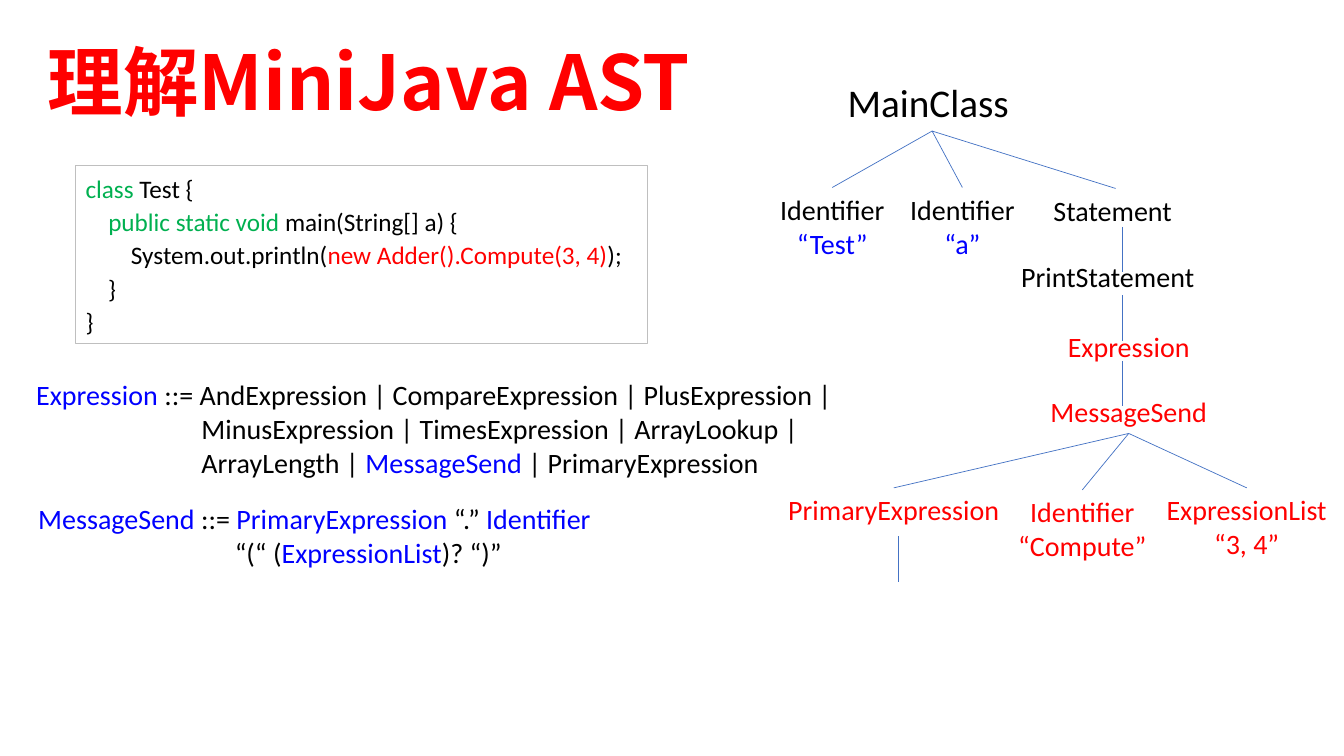
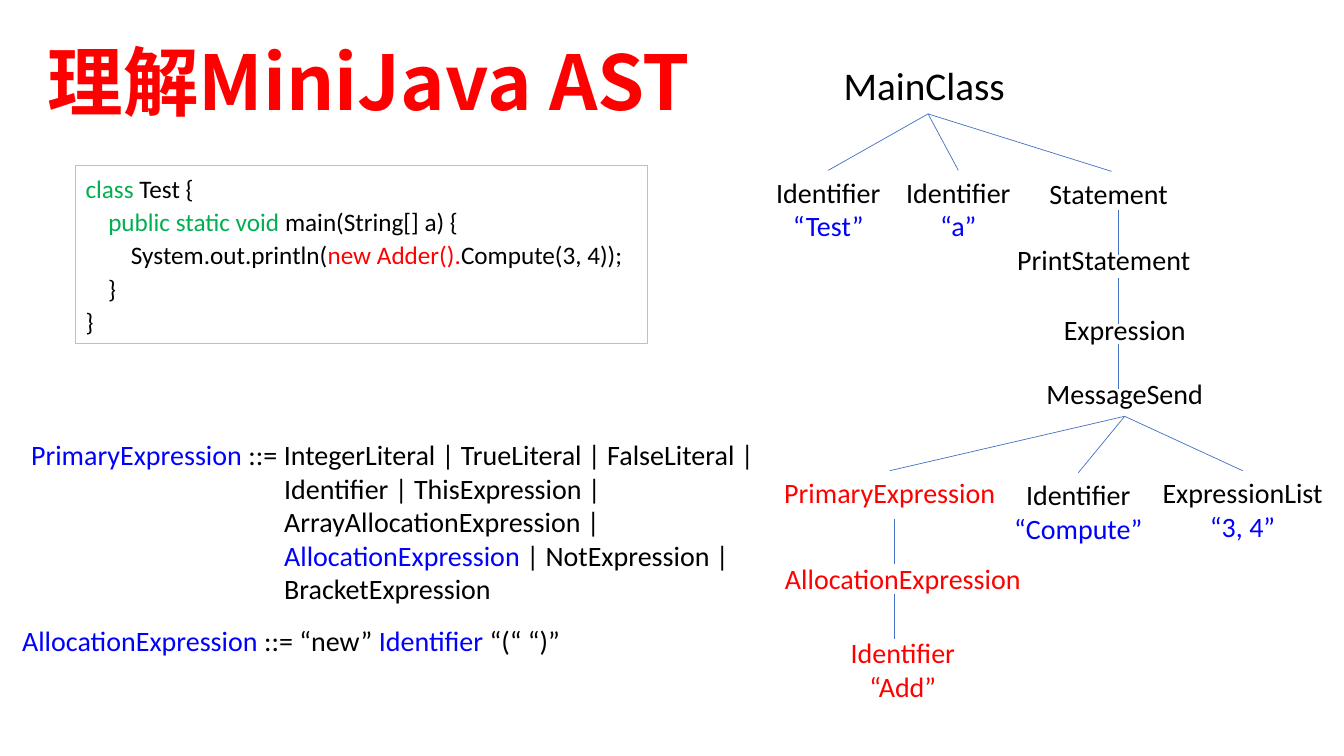
from lxml.etree import SubElement
from pptx import Presentation
from pptx.dml.color import RGBColor
from pptx.enum.shapes import MSO_CONNECTOR as CONN
from pptx.enum.text import MSO_ANCHOR as ANCHOR, PP_ALIGN as ALIGN
from pptx.oxml.ns import qn
from pptx.util import Pt

PX = 9144  # 100 px to the inch
BLACK, RED, BLUE, GREEN = "000000", "FF0000", "0000FF", "00B050"
BORDER, EDGE = "BFBFBF", "4472C4"
BODY, HEAD = "Calibri", "Noto Sans CJK SC"
BOTTOM, TOP = 2, 0
rgb = RGBColor.from_string

prs = Presentation()
prs.slide_width, prs.slide_height = 1333 * PX, 750 * PX


def add_text(s, lines, x, y, w, h, size=20, font=BODY, bold=False, align=ALIGN.LEFT,
             spacing=None, anchor=ANCHOR.TOP, hang=0):
    """Lines are lists of (text, colour) runs; hang indents all lines but the first."""
    sp = s.shapes.add_textbox(x * PX, y * PX, w * PX, h * PX)
    tf = sp.text_frame
    tf.word_wrap, tf.vertical_anchor = True, anchor
    for i, line in enumerate(lines):
        p = tf.paragraphs[0] if i == 0 else tf.add_paragraph()
        p.alignment, p.line_spacing = align, spacing
        if hang and i:
            p._p.get_or_add_pPr().set("marL", str(hang * PX))
        for text, colour in line:
            r = p.add_run()
            r.text = text
            r.font.size, r.font.name, r.font.bold = Pt(size), font, bold
            r.font.color.rgb = rgb(colour)
            SubElement(r._r.get_or_add_rPr(), qn("a:ea"), typeface=font)
    return sp


def add_edge(s, x1=0, y1=0, x2=0, y2=0, parent=None, child=None):
    """Draw a line between two points, or from a parent node down to its child."""
    c = s.shapes.add_connector(CONN.STRAIGHT, x1 * PX, y1 * PX, x2 * PX, y2 * PX)
    if parent is not None:
        c.begin_connect(parent, BOTTOM)
        c.end_connect(child, TOP)
    c.line.color.rgb, c.line.width = rgb(EDGE), Pt(0.5)
    SubElement(c._element.spPr, qn("a:effectLst"))


EXPRESSION_RULE = dict(x=26, y=370, w=824, h=111, hang=164, lines=[
    [("Expression", BLUE), (" ::= AndExpression | CompareExpression | PlusExpression |", BLACK)],
    [("MinusExpression | TimesExpression | ArrayLookup |", BLACK)],
    [("ArrayLength | ", BLACK), ("MessageSend", BLUE), (" | PrimaryExpression", BLACK)]])
MESSAGE_RULE = dict(x=28, y=493, w=585, h=77, hang=195, lines=[
    [("MessageSend", BLUE), (" ::= ", BLACK), ("PrimaryExpression", BLUE),
     (" “.” ", BLACK), ("Identifier", BLUE)],
    [("“(“ (", BLACK), ("ExpressionList", BLUE), (")? “)”", BLACK)]])
PRIMARY_RULE = dict(x=21, y=429, w=741, h=178, hang=251, lines=[
    [("PrimaryExpression", BLUE), (" ::= IntegerLiteral | TrueLiteral | FalseLiteral |", BLACK)],
    [("Identifier | ThisExpression |", BLACK)],
    [("ArrayAllocationExpression |", BLACK)],
    [("AllocationExpression", BLUE), (" | NotExpression |", BLACK)],
    [("BracketExpression", BLACK)]])
ALLOCATION_RULE = dict(x=12, y=614, w=559, h=44, lines=[
    [("AllocationExpression", BLUE), (" ::= “new” ", BLACK), ("Identifier", BLUE),
     (" “(“ “)”", BLACK)]])

# highlighted call, rest of the call, tree offset, lower node and literal colours, rules
SLIDES = [
    ("new Adder().Compute(3, 4)", ");", 0, 0, RED, RED, [EXPRESSION_RULE, MESSAGE_RULE]),
    ("new Adder().", "Compute(3, 4));", -4, -17, BLACK, BLUE, [PRIMARY_RULE, ALLOCATION_RULE]),
]

for call, rest, dx, dy, lower, literal, rules in SLIDES:
    s = prs.slides.add_slide(prs.slide_layouts[6])
    add_text(s, [[("理解MiniJava AST", RED)]], 23, 13, 686, 145, size=54, font=HEAD, bold=True,
             align=ALIGN.CENTER, spacing=0.9, anchor=ANCHOR.MIDDLE)
    code = add_text(s, [
        [("class", GREEN), (" Test {", BLACK)],
        [("    ", BLACK), ("public static void", GREEN), (" main(String[] a) {", BLACK)],
        [("        System.out.println(", BLACK), (call, RED), (rest, BLACK)],
        [("    }", BLACK)],
        [("}", BLACK)]], 75, 164, 567, 177, size=18, spacing=1.1)
    code.line.color.rgb, code.line.width = rgb(BORDER), Pt(0.75)
    for rule in rules:
        add_text(s, **rule)

    # name: left, top, width, alignment, lines
    tree = {
        "main": (831, 73, 187, ALIGN.LEFT, [("MainClass", BLACK)]),
        "class name": (761, 186, 129, ALIGN.CENTER, [("Identifier", BLACK), ("“Test”", BLUE)]),
        "argument": (890, 186, 129, ALIGN.CENTER, [("Identifier", BLACK), ("“a”", BLUE)]),
        "statement": (1035, 187, 143, ALIGN.LEFT, [("Statement", BLACK)]),
        "print": (1003, 253, 199, ALIGN.LEFT, [("PrintStatement", BLACK)]),
        "expression": (1003, 322, 233, ALIGN.CENTER, [("Expression", lower)]),
        "send": (1003, 386, 233, ALIGN.CENTER, [("MessageSend", lower)]),
        "primary": (738, 484, 297, ALIGN.CENTER, [("PrimaryExpression", RED)]),
        "method": (925, 486, 297, ALIGN.CENTER, [("Identifier", lower), ("“Compute”", literal)]),
        "values": (1140, 484, 193, ALIGN.CENTER, [("ExpressionList", lower), ("“3, 4”", literal)]),
    }
    stems = [(1113, 225), (1113, 293), (1113, 358), (891, 532)]
    if ALLOCATION_RULE in rules:
        tree["allocation"] = (721, 569, 357, ALIGN.CENTER, [("AllocationExpression", RED)])
        tree["class used"] = (721, 643, 357, ALIGN.CENTER, [("Identifier", RED), ("“Add”", RED)])
        stems.append((891, 606))

    nodes = {}
    for name, (x, y, w, align, runs) in tree.items():
        size, h = (28, 57) if name == "main" else (20, 11 + 33 * len(runs))
        nodes[name] = add_text(s, [[run] for run in runs], x + dx, y + dy, w, h,
                               size=size, align=align)
    for parent, children in [("main", ["class name", "argument", "statement"]),
                             ("send", ["primary", "method", "values"])]:
        for child in children:
            add_edge(s, parent=nodes[parent], child=nodes[child])
    for x, y in stems:
        add_edge(s, x + dx, y + dy, x + dx, y + dy + 45)

prs.save("out.pptx")
